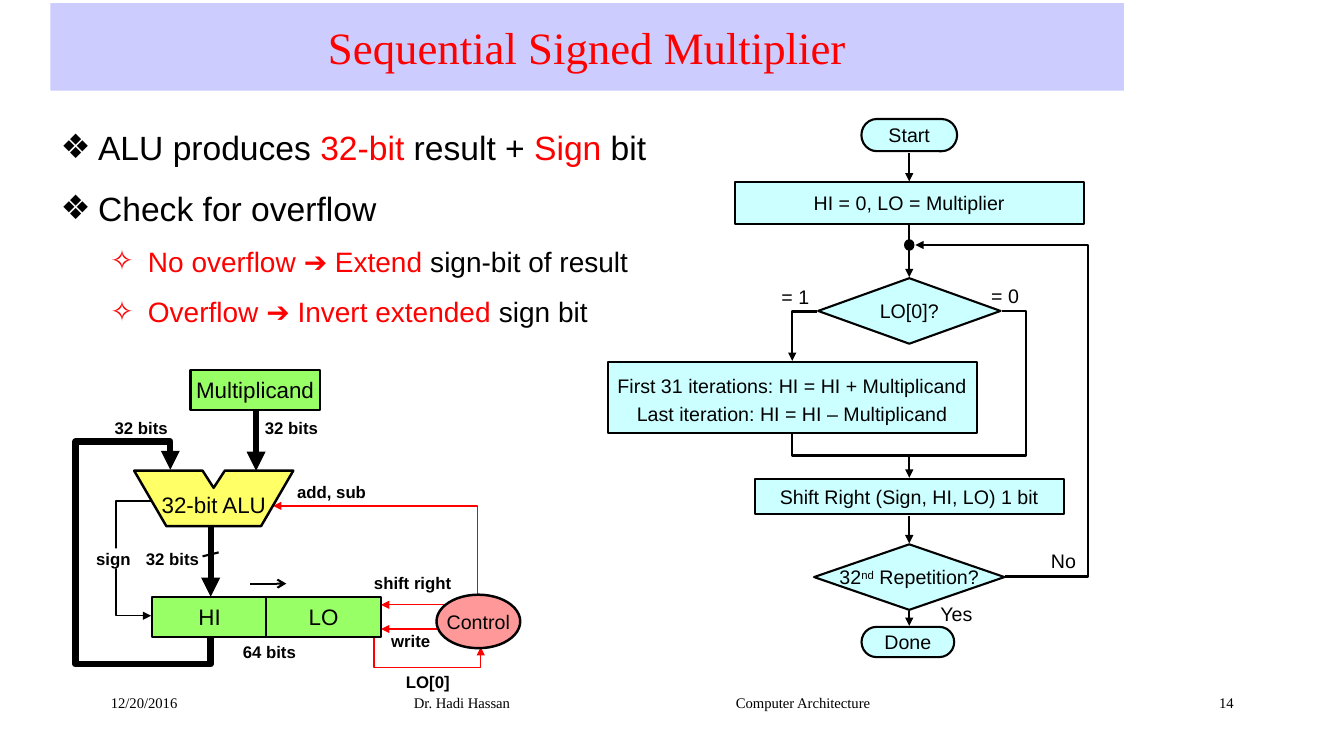
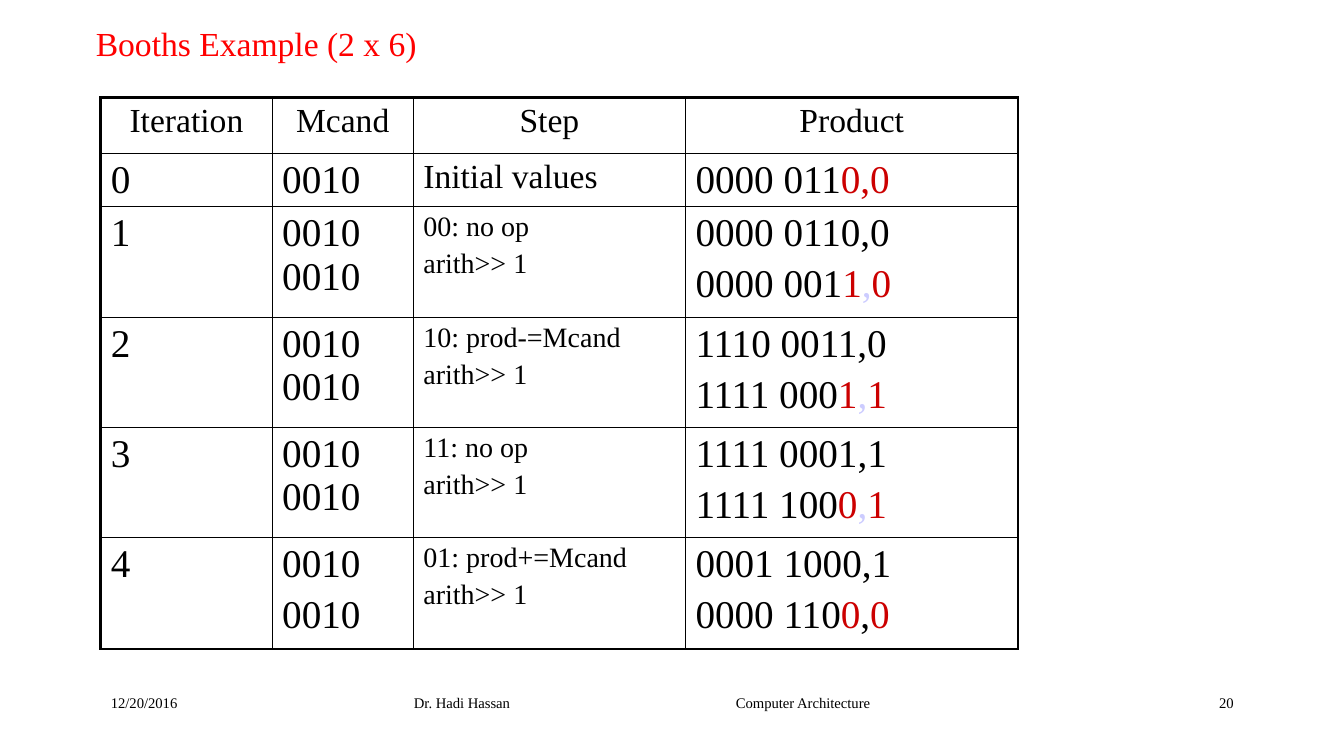
import pptx
import pptx.dml.color
import pptx.enum.shapes
import pptx.enum.text
import pptx.oxml.ns
import pptx.util
from lxml import etree

Pt = pptx.util.Pt
qn = pptx.oxml.ns.qn
SHAPE = pptx.enum.shapes.MSO_SHAPE
ALIGN = pptx.enum.text.PP_ALIGN
ANCHOR = pptx.enum.text.MSO_ANCHOR
SANS, SERIF = "Arial", "Times New Roman"
BLACK, WHITE, RED, DARK_RED = "000000", "FFFFFF", "FF0000", "CC0000"
LILAC, CYAN, GREEN, YELLOW, PINK = "CCCCFF", "CCFFFF", "99FF66", "FFFF66", "FF9999"
AXIS = 649.5


def colour(value):
    return pptx.dml.color.RGBColor.from_string(value)


def write(frame, paras, size=14, font=SANS, color=BLACK, bold=False, align=ALIGN.CENTER,
          anchor=ANCHOR.MIDDLE, margins=(0, 0), wrap=True, spacing=None, gap=0):
    frame.auto_size = pptx.enum.text.MSO_AUTO_SIZE.NONE
    frame.word_wrap = wrap
    frame.vertical_anchor = anchor
    frame.margin_left = frame.margin_right = Pt(margins[0])
    frame.margin_top = frame.margin_bottom = Pt(margins[1])
    fill_paras(frame, paras, size, font, color, bold, align, spacing, gap)


def fill_paras(frame, paras, size, font, color, bold=False, align=ALIGN.LEFT, spacing=None, gap=0):
    for index, spans in enumerate([paras] if isinstance(paras, str) else paras):
        para = frame.add_paragraph() if index else frame.paragraphs[0]
        para.alignment = align
        if spacing:
            para.line_spacing = spacing
        para.space_before = Pt(gap * size if index else 0)
        for item in [spans] if isinstance(spans, str) else spans:
            words, tint = (item, color) if isinstance(item, str) else item
            span = para.add_run()
            span.text = words
            span.font.size, span.font.name, span.font.bold = Pt(size), font, bold
            span.font.color.rgb = colour(tint)


def paint(shape, fill=None, line=None, width=1.5):
    shape.shadow.inherit = False
    if fill:
        shape.fill.solid()
        shape.fill.fore_color.rgb = colour(fill)
    else:
        shape.fill.background()
    if line:
        shape.line.color.rgb = colour(line)
        shape.line.width = Pt(width)
    else:
        shape.line.fill.background()


def add_box(slide, kind, place, paras=(), fill=CYAN, width=1.5, **format):
    box = slide.shapes.add_shape(kind, *map(Pt, place))
    paint(box, fill, BLACK, width)
    write(box.text_frame, paras, wrap=False, **format)
    return box


def add_label(slide, text, place, **format):
    box = slide.shapes.add_textbox(*map(Pt, place))
    write(box.text_frame, text, **format)
    return box


def add_arrowhead(shape, head):
    etree.SubElement(shape.element.spPr.find(qn("a:ln")), qn("a:tailEnd"), type=head)


def add_line(slide, start, end, color=BLACK, width=1.5, head="triangle"):
    line = slide.shapes.add_connector(
        pptx.enum.shapes.MSO_CONNECTOR.STRAIGHT, *map(Pt, start + end))
    line.line.color.rgb = colour(color)
    line.line.width = Pt(width)
    if head:
        add_arrowhead(line, head)
    etree.SubElement(line.element.spPr, qn("a:effectLst"))


def add_outline(slide, points, fill=None, color=BLACK, width=1.5, head=None):
    corners = [(Pt(x), Pt(y)) for x, y in points]
    builder = slide.shapes.build_freeform(*corners[0])
    builder.add_line_segments(corners[1:], close=bool(fill))
    outline = builder.convert_to_shape()
    paint(outline, fill, color, width)
    if head:
        add_arrowhead(outline, head)


def add_slide(deck, title, place, number, **format):
    slide = deck.slides.add_slide(deck.slide_layouts[5])
    heading = slide.shapes.title
    heading.left, heading.top, heading.width, heading.height = map(Pt, place)
    write(heading.text_frame, title, font=SERIF, color=RED, **format)
    footers = [("12/20/2016", 79.2, ALIGN.LEFT), ("Dr. Hadi Hassan", 295.7, ALIGN.LEFT),
               ("Computer Architecture", 525.7, ALIGN.LEFT), (number, 701.3, ALIGN.RIGHT)]
    for text, left, align in footers:
        add_label(slide, text, (left, 495.4, 180, 20), size=10.5, font=SERIF,
                  align=align, anchor=ANCHOR.TOP)
    return slide


def add_bullets(slide):
    bullets = [
        ("❖", 24, 27, ["ALU produces ", ("32-bit", RED), " result + ", ("Sign", RED), " bit"]),
        ("❖", 24, 27, ["Check for overflow"]),
        ("✧", 20, 62.6, [("No overflow ➔ Extend", RED), " sign-bit of result"]),
        ("✧", 20, 62.6, [("Overflow ➔ Invert extended ", RED), "sign bit"]),
    ]
    box = add_label(slide, [spans for _, _, _, spans in bullets], (36, 87.1, 648, 202.3),
                    align=ALIGN.LEFT, anchor=ANCHOR.TOP, margins=(7.2, 3.6))
    for index, (mark, size, indent, _) in enumerate(bullets):
        para = box.text_frame.paragraphs[index]
        para.space_before = Pt(0.6 * size if index else 0)
        for span in para.runs:
            span.font.size = Pt(size)
        properties = para._p.get_or_add_pPr()
        properties.set("marL", str(Pt(indent)))
        properties.set("indent", str(-Pt(26.8)))
        if indent > 27:
            para.level = 1
            bullet_color = etree.SubElement(properties, qn("a:buClr"))
            etree.SubElement(bullet_color, qn("a:srgbClr"), val=RED)
        etree.SubElement(properties, qn("a:buFont"), typeface=SANS)
        etree.SubElement(properties, qn("a:buChar"), char=mark)


def add_flowchart(slide):
    left, right, loop = 565.9, 733, 776.9
    add_box(slide, SHAPE.OVAL, (AXIS - 3.25, 171.4, 6.5, 7.2), fill=BLACK, width=1)
    nodes = [
        (SHAPE.FLOWCHART_TERMINATOR, AXIS, 85, 68.4, 23, "Start"),
        (SHAPE.RECTANGLE, AXIS, 130.3, 249.1, 29.5, "HI = 0, LO = Multiplier"),
        (SHAPE.FLOWCHART_DECISION, AXIS, 198.7, 130.3, 46.8, "LO[0]?"),
        (SHAPE.RECTANGLE, AXIS, 342, 221, 25.2, "Shift Right (Sign, HI, LO) 1 bit"),
        (SHAPE.FLOWCHART_TERMINATOR, AXIS - 1, 447.8, 66.2, 21.6, "Done"),
    ]
    for kind, middle, top, width, height, text in nodes:
        add_box(slide, kind, (middle - width / 2, top, width, height), text)
    add_box(slide, SHAPE.RECTANGLE, (left - 131.75, 258.5, 263.5, 51.1),
            ["First 31 iterations: HI = HI + Multiplicand",
             "Last iteration: HI = HI – Multiplicand"], spacing=1.2)
    repetition = add_box(slide, SHAPE.FLOWCHART_DECISION, (AXIS - 68, 388.8, 136, 46.8),
                         [["32", "nd", " Repetition?"]])
    ordinal = repetition.text_frame.paragraphs[0].runs[1]
    ordinal._r.get_or_add_rPr().set("baseline", "30000")
    for top, bottom in [(109.4, 129.6), (160.6, 198), (368.6, 388.1), (436.3, 447.1)]:
        add_line(slide, (AXIS, top), (AXIS, bottom))
    add_outline(slide, [(583.9, 222.5), (left, 222.5), (left, 257.8)], head="triangle")
    add_outline(slide, [(left, 309.6), (left, 325.4), (AXIS, 325.4), (AXIS, 341.3)],
                head="triangle")
    add_outline(slide, [(715.7, 222.5), (right, 222.5), (right, 325.4), (AXIS, 325.4)])
    add_outline(slide, [(717.8, 411.8), (loop, 411.8), (loop, 175), (653.8, 175)],
                head="triangle")
    for text, x, y in [("= 1", 550.8, 200.2), ("= 0", 700.6, 199.4),
                       ("No", 742.3, 388.8), ("Yes", 665.8, 426.2)]:
        add_label(slide, text, (x, y, 34.6, 23.8), wrap=False)


def add_datapath(slide):
    add_outline(slide, [(150.5, 357.8), (82.8, 357.8), (82.8, 439.9), (108, 439.9)],
                width=1, head="triangle")
    add_outline(slide, [(150.5, 454.3), (150.5, 474.5), (54, 474.5), (54, 315.4),
                        (121.7, 315.4), (121.7, 335.5)], width=4.5, head="triangle")
    add_outline(slide, [(267.1, 454.3), (267.1, 476.6), (343.4, 476.6), (343.4, 462.2)],
                color=RED, width=1, head="triangle")
    add_outline(slide, [(341.3, 427), (341.3, 361.4), (195.1, 361.4)],
                color=RED, width=1, head="triangle")
    for start, y in [(317.5, 432), (315.4, 449.3)]:
        add_line(slide, (start, y), (272.2, y), color=RED, width=1)
    add_outline(slide, [(209.5, 336.2), (160.6, 336.2), (152.6, 348.5), (144.7, 336.2),
                        (95.8, 336.2), (118.8, 375.8), (186.5, 375.8)],
                fill=YELLOW, width=1.75)
    add_line(slide, (150.5, 375.1), (150.5, 426.2), width=4.5)
    add_line(slide, (182.9, 290.2), (182.9, 336.2), width=4.5)
    add_line(slide, (178.6, 416.9), (204.5, 416.9), head="arrow")
    add_line(slide, (144.7, 397.4), (156.2, 394.6), head=None)
    add_label(slide, "32-bit ALU", (110.2, 346.3, 85, 28.1), size=16)
    add_box(slide, SHAPE.OVAL, (311.8, 424.8, 59.8, 38.2), "Control", fill=PINK, width=1.75)
    for text, x, y, width in [("Multiplicand", 136.1, 264.2, 92.2),
                              ("HI", 108.7, 426.2, 82), ("LO", 190.1, 426.2, 82)]:
        add_box(slide, SHAPE.RECTANGLE, (x, y, width, 28.8), text, fill=GREEN, size=16)
    labels = [("64 bits", 171.4, 458.5, 42), ("32 bits", 187.2, 298.1, 42),
              ("32 bits", 79.9, 298.1, 42), ("32 bits", 102.2, 391.7, 42),
              ("write", 275, 450.7, 36.7), ("add, sub", 204.5, 344, 64.8),
              ("LO[0]", 270.7, 479.5, 69.8), ("shift right", 259.9, 408.8, 69.8),
              ("sign", 62.6, 391.7, 36.7)]
    for text, x, y, width in labels:
        label = add_label(slide, text, (x, y, width, 14.4), size=12, bold=True)
        if text == "sign":
            label.fill.solid()
            label.fill.fore_color.rgb = colour(WHITE)


def set_borders(cell, widths):
    properties = cell._tc.get_or_add_tcPr()
    for side, width in widths.items():
        border = etree.SubElement(properties, qn("a:ln" + side), w=str(Pt(width)))
        fill = etree.SubElement(border, qn("a:solidFill"))
        etree.SubElement(fill, qn("a:srgbClr"), val=BLACK)


def add_steps_table(slide):
    def product(start, first, last, comma=LILAC):
        return [start, (first, DARK_RED), (",", comma), (last, DARK_RED)]

    shift, twice = "arith>> 1", "0010 0010"
    rows = [
        ["Iteration", "Mcand", "Step", "Product"],
        ["0", "0010", "Initial values", [product("0000 011", "0", "0", DARK_RED)]],
        ["1", twice, ["00: no op", shift], ["0000 0110,0", product("0000 001", "1", "0")]],
        ["2", twice, ["10: prod-=Mcand", shift], ["1110 0011,0", product("1111 000", "1", "1")]],
        ["3", twice, ["11: no op", shift], ["1111 0001,1", product("1111 100", "0", "1")]],
        ["4", ["0010", "0010"], ["01: prod+=Mcand", shift],
         ["0001 1000,1", product("0000 110", "0", "0", BLACK)]],
    ]
    widths = [122.4, 100.8, 194.4, 237.6]
    heights = [39.6, 36, 79.2, 78.5, 78.5, 79.9]
    table = slide.shapes.add_table(len(rows), len(widths), Pt(72), Pt(69.8),
                                   Pt(sum(widths)), Pt(sum(heights))).table
    table.first_row = table.horz_banding = False
    for column, width in zip(table.columns, widths):
        column.width = Pt(width)
    for r, row in enumerate(rows):
        table.rows[r].height = Pt(heights[r])
        for c, paras in enumerate(row):
            cell = table.cell(r, c)
            outer = {"L": c == 0, "R": c == len(widths) - 1,
                     "T": r == 0, "B": r == len(rows) - 1}
            set_borders(cell, {side: 2.25 if edge else 1 for side, edge in outer.items()})
            cell.fill.background()
            size = 24 if r == 0 or (r, c) == (1, 2) else 20 if c == 2 else 28
            fill_paras(cell.text_frame, paras, size, SERIF, BLACK, gap=0.2,
                       align=ALIGN.LEFT if r else ALIGN.CENTER)


def main():
    deck = pptx.Presentation()
    deck.slide_width, deck.slide_height = Pt(960), Pt(540)
    multiplier = add_slide(deck, "Sequential Signed Multiplier", (36, 2.2, 766.8, 62.6), "14",
                           size=32, margins=(0, 3.6))
    multiplier.shapes.title.fill.solid()
    multiplier.shapes.title.fill.fore_color.rgb = colour(LILAC)
    add_bullets(multiplier)
    add_flowchart(multiplier)
    add_datapath(multiplier)
    booth = add_slide(deck, "Booths Example (2 x 6)", (63.4, 18, 241.2, 29.5), "20", size=24,
                      align=ALIGN.LEFT, anchor=ANCHOR.TOP, margins=(5, 2.2), wrap=False,
                      spacing=0.87)
    add_steps_table(booth)
    deck.save("out.pptx")


main()
